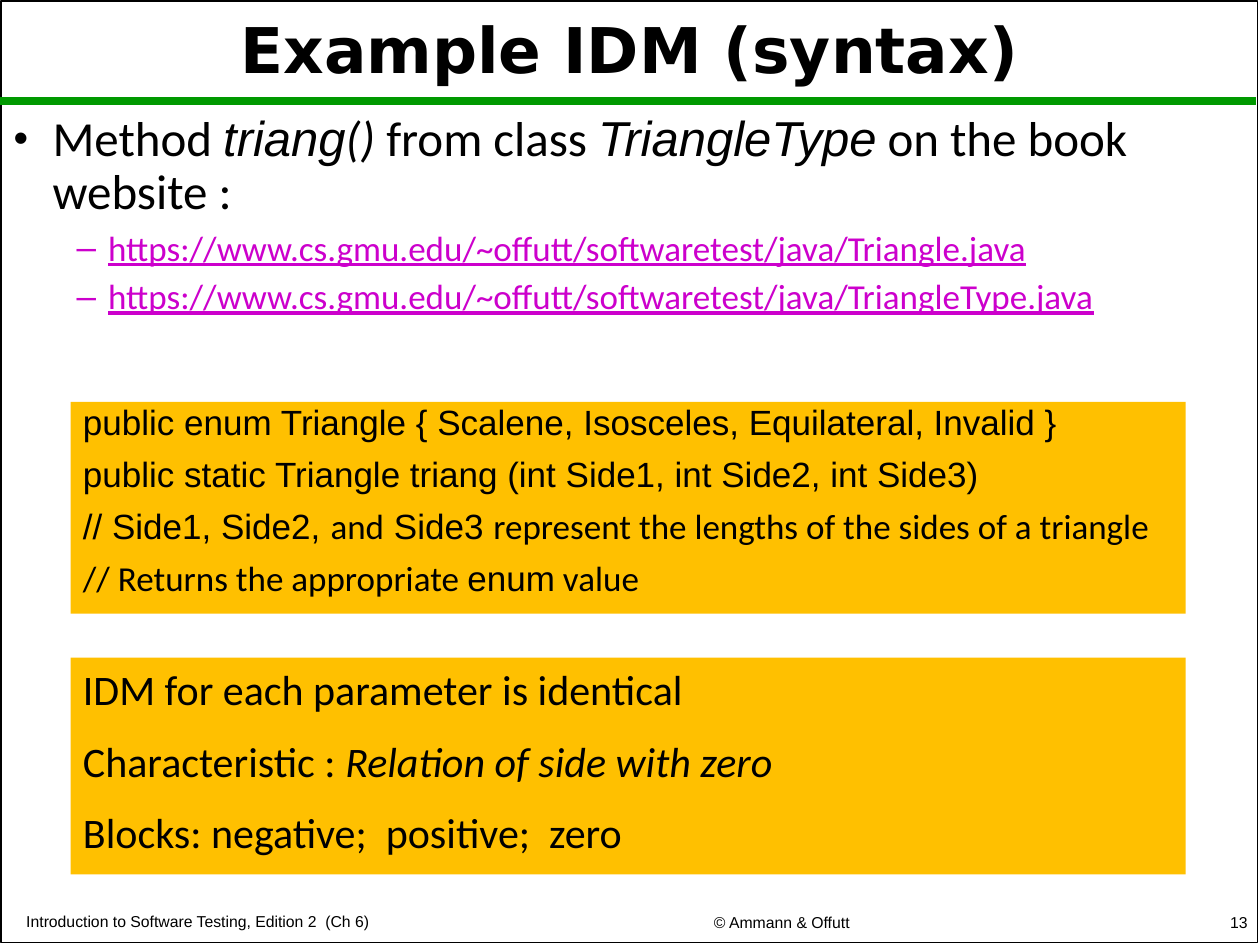
import pptx
import pptx.dml.color
import pptx.enum.shapes
import pptx.enum.text
import pptx.oxml.ns
import pptx.util
from lxml import etree

Inches, Pt = pptx.util.Inches, pptx.util.Pt
ALIGN = pptx.enum.text.PP_ALIGN
ANCHOR = pptx.enum.text.MSO_ANCHOR
RECTANGLE = pptx.enum.shapes.MSO_SHAPE.RECTANGLE


def rgb(value):
    return pptx.dml.color.RGBColor.from_string(value)


def add_element(parent, tag, **attributes):
    return etree.SubElement(parent, pptx.oxml.ns.qn(tag), attributes)


class Deck:
    BLACK, WHITE, GREEN, AMBER, LINK = "000000", "FFFFFF", "009900", "FFC000", "CC00CC"
    BODY, CODE, HEADING = "Calibri", "Arial", "DejaVu Sans"

    def __init__(self, width, height):
        self.deck = pptx.Presentation()
        self.deck.slide_width, self.deck.slide_height = Inches(width), Inches(height)

    def add_slide(self):
        self.slide = self.deck.slides.add_slide(self.deck.slide_layouts[5])
        self.slide.background.fill.solid()
        self.slide.background.fill.fore_color.rgb = rgb(self.WHITE)

    def title(self, text, box):
        heading = self.slide.shapes.title
        heading.left, heading.top, heading.width, heading.height = map(Inches, box)
        frame = heading.text_frame
        frame.auto_size = pptx.enum.text.MSO_AUTO_SIZE.NONE
        frame.vertical_anchor = ANCHOR.MIDDLE
        self.paragraphs(frame, [[text]], size=36, font=self.HEADING, bold=True,
                        align=ALIGN.CENTER, spacing=0.9)

    def rectangle(self, box, fill=None, line=None):
        shape = self.slide.shapes.add_shape(RECTANGLE, *map(Inches, box))
        shape.shadow.inherit = False
        if fill:
            shape.fill.solid()
            shape.fill.fore_color.rgb = rgb(fill)
        else:
            shape.fill.background()
        if line:
            shape.line.color.rgb = rgb(line)
            shape.line.width = Pt(1)
        else:
            shape.line.fill.background()
        return shape

    def rule(self, start, end, color, width):
        line = self.slide.shapes.add_connector(
            pptx.enum.shapes.MSO_CONNECTOR.STRAIGHT, *map(Inches, start + end))
        line.line.color.rgb = rgb(color)
        line.line.width = Pt(width)
        add_element(line._element.spPr, "a:effectLst")

    def text_box(self, box, anchor=ANCHOR.TOP):
        frame = self.slide.shapes.add_textbox(*map(Inches, box)).text_frame
        frame.word_wrap = True
        frame.vertical_anchor = anchor
        return frame

    def panel(self, box, lines, **style):
        frame = self.rectangle(box, fill=self.AMBER).text_frame
        frame.word_wrap = True
        frame.vertical_anchor = ANCHOR.TOP
        self.paragraphs(frame, lines, **style)

    def paragraphs(self, frame, lines, **style):
        """Fill an empty frame with one paragraph for each list of runs."""
        for index, runs in enumerate(lines):
            paragraph = frame.paragraphs[0] if index == 0 else frame.add_paragraph()
            self.format(paragraph, runs, first=index == 0, **style)

    def format(self, paragraph, runs, size, font=None, color=BLACK, bold=False,
               underline=False, align=ALIGN.LEFT, spacing=1.0, before=0,
               first=False, bullet=None, bullet_size=100, indent=(0, 0), level=0):
        """Write runs, each a string or a (text, font, italic) tuple."""
        paragraph.alignment = align
        paragraph.level = level
        paragraph.line_spacing = spacing
        paragraph.space_before = Pt(0 if first else before)
        if bullet:
            properties = paragraph._p.get_or_add_pPr()
            left, hanging = indent
            properties.set("marL", str(Inches(left)))
            properties.set("indent", str(Inches(hanging)))
            add_element(properties, "a:buSzPct", val=str(bullet_size * 1000))
            add_element(properties, "a:buFont", typeface="Arial")
            add_element(properties, "a:buChar", char=bullet)
        paragraph.font.size = Pt(size)
        paragraph.font.color.rgb = rgb(color)
        paragraph.font.bold = bold
        paragraph.font.underline = underline
        if font:
            paragraph.font.name = font
        for item in runs:
            text, face, italic = (item, None, None) if isinstance(item, str) else item
            run = paragraph.add_run()
            run.text = text
            if face:
                run.font.name = face
            if italic:
                run.font.italic = True

    def footer(self, text, box, align):
        frame = self.text_box(box, ANCHOR.BOTTOM)
        self.paragraphs(frame, [[text]], size=9, font=self.CODE, align=align)

    def save(self):
        self.deck.save("out.pptx")


def main():
    deck = Deck(10, 7.5)
    body, code = deck.BODY, deck.CODE
    deck.add_slide()
    deck.rectangle((0.01, 0.01, 9.97, 7.47), line=deck.BLACK)
    deck.rule((0, 0.8), (9.97, 0.8), deck.GREEN, 4.5)
    deck.title("Example IDM (syntax)", (0.01, 0.11, 9.97, 0.63))

    content = deck.text_box((0.01, 0.86, 9.97, 6.26))
    deck.format(content.paragraphs[0],
                [("Method ", body, False), ("triang", code, True), ("()", body, True),
                 (" from class ", body, False), ("TriangleType", code, True),
                 (" on the book website :", body, False)],
                size=28, spacing=0.9, first=True,
                bullet="•", bullet_size=85, indent=(0.31, -0.31))
    for name in ("Triangle", "TriangleType"):
        deck.format(content.add_paragraph(),
                    [f"https://www.cs.gmu.edu/~offutt/softwaretest/java/{name}.java"],
                    size=20, font=body, color=deck.LINK, underline=True, spacing=0.9,
                    before=6, bullet="–", indent=(0.75, -0.25), level=1)

    deck.panel((0.56, 3.19, 8.85, 1.68), [
        [("public enum Triangle { Scalene, Isosceles, Equilateral, Invalid }", code, False)],
        [("public static Triangle triang (int Side1, int Side2, int Side3)", code, False)],
        [("// Side1, Side2, ", code, False), ("and", body, False), (" Side3 ", code, False),
         ("represent the lengths of the sides of a triangle", body, False)],
        [("// Returns the appropriate ", body, False), ("enum", code, False),
         (" value", body, False)],
    ], size=20, spacing=0.8, before=10.5)
    deck.panel((0.56, 5.22, 8.85, 1.72), [
        ["IDM for each parameter is identical"],
        ["Characteristic : ", ("Relation of side with zero", None, True)],
        ["Blocks: negative;  positive;  zero"],
    ], size=24, font=body, before=12)

    deck.footer("Introduction to Software Testing, Edition 2  (Ch 6)",
                (0.11, 7.18, 4.31, 0.26), ALIGN.LEFT)
    deck.footer("© Ammann & Offutt", (4.62, 7.17, 3.17, 0.27), ALIGN.CENTER)
    deck.footer("13", (7.92, 7.16, 2.08, 0.28), ALIGN.RIGHT)
    deck.save()


if __name__ == "__main__":
    main()
